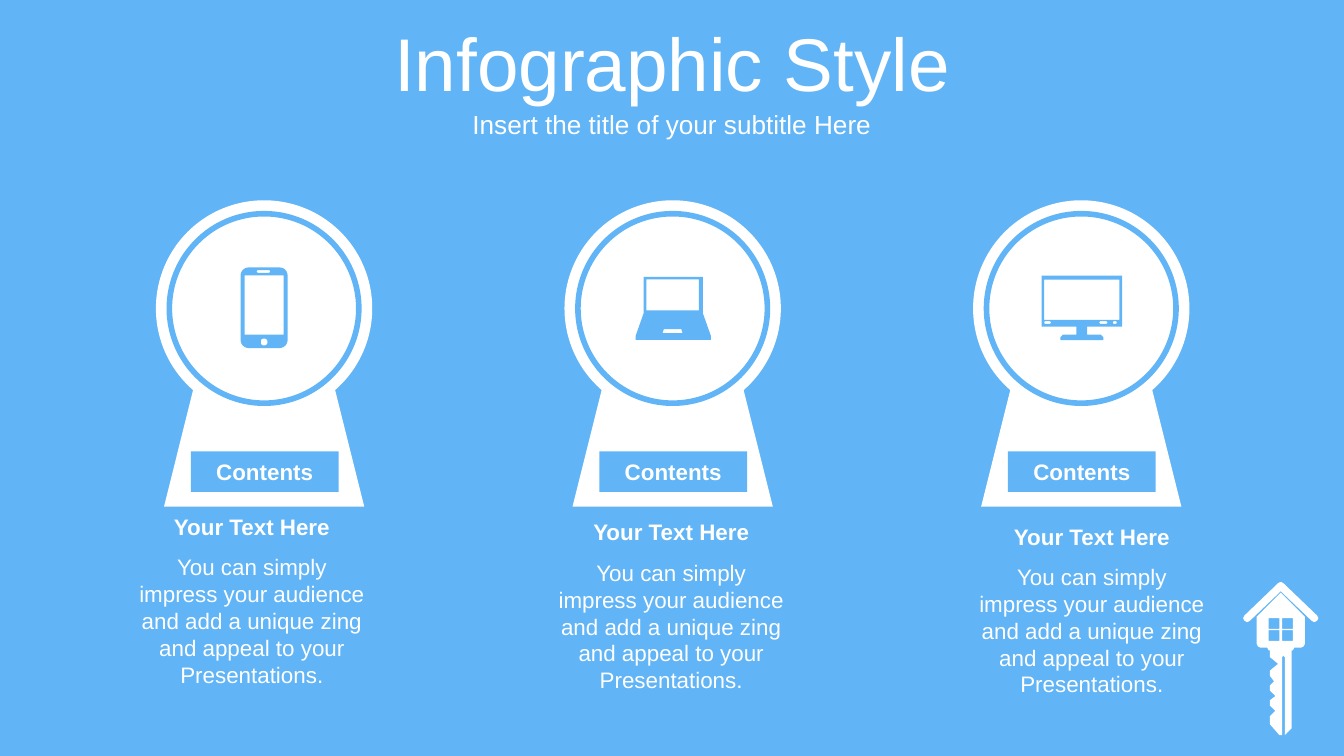
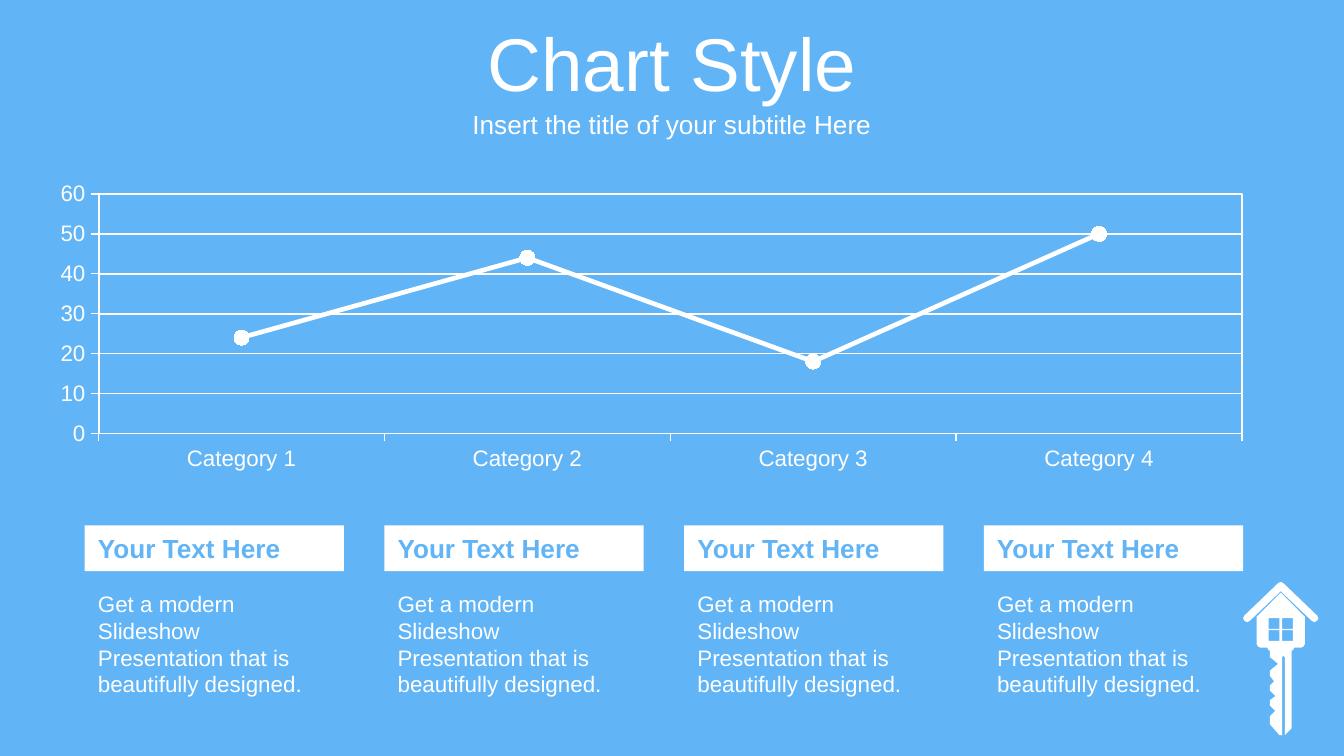
from math import cos, pi, sin

from lxml.etree import SubElement
from pptx import Presentation
from pptx.chart.data import CategoryChartData
from pptx.dml.color import RGBColor
from pptx.enum.chart import XL_CHART_TYPE, XL_MARKER_STYLE, XL_TICK_MARK
from pptx.enum.shapes import MSO_SHAPE
from pptx.enum.text import MSO_ANCHOR, PP_ALIGN
from pptx.oxml import parse_xml
from pptx.oxml.ns import nsdecls, qn
from pptx.util import Inches, Pt

# Content
BLUE, WHITE, FONT = "61B4F6", "FFFFFF", "Arial"
SUBTITLE = "Insert the title of your subtitle Here"

KEYHOLE_LABEL = "Contents"
CAPTION_TITLE = "Your Text Here"
CAPTION_TEXT = ("You can simply impress your audience and add a unique zing "
                "and appeal to your Presentations.")
CAPTION_PLACES = [(0.91, 3.77), (4.03, 3.81), (7.16, 3.84)]

CHART_VALUES = {"Category 1": 24, "Category 2": 44, "Category 3": 18, "Category 4": 50}
CARD_TITLE = "Your Text Here"
CARD_TEXT = "Get a modern Slideshow Presentation that is beautifully designed."
CARD_COUNT = 4


# Outlines: each drawing is a list of closed contours; inner contours are holes
def box(left, top, right, bottom, radius=0):
    if not radius:
        return [(left, top), (right, top), (right, bottom), (left, bottom)]
    centres = [(right - radius, bottom - radius), (left + radius, bottom - radius),
               (left + radius, top + radius), (right - radius, top + radius)]
    return [(x + radius * cos((corner + step / 6) * pi / 2),
             y + radius * sin((corner + step / 6) * pi / 2))
            for corner, (x, y) in enumerate(centres) for step in range(7)]


def mirrored(right_half, axis):
    return right_half + [(2 * axis - x, y) for x, y in reversed(right_half)]


PHONE = [
    box(1.79, 1.99, 2.14, 2.59, 0.06),
    box(1.82, 2.05, 2.11, 2.49),
    box(1.91, 2.01, 2.01, 2.03, 0.01),
    box(1.94, 2.52, 1.99, 2.57, 0.02),
]
LAPTOP = [
    mirrored([(5.23, 2.06), (5.23, 2.33), (5.29, 2.5), (5.29, 2.53)], 5.01),
    box(4.81, 2.08, 5.2, 2.31),
    [(4.94, 2.45), (4.93, 2.48), (5.08, 2.48), (5.07, 2.45)],
]
MONITOR = [
    mirrored([(8.35, 2.05), (8.35, 2.43), (8.09, 2.43), (8.09, 2.49),
              (8.19, 2.49), (8.21, 2.51), (8.21, 2.53)], 8.05),
    box(7.77, 2.08, 8.33, 2.38),
    box(7.77, 2.39, 7.82, 2.41, 0.01),
    box(8.18, 2.39, 8.24, 2.41, 0.01),
    box(8.28, 2.39, 8.31, 2.41, 0.01),
]
SHAFT = [(9.45, 4.84), (9.61, 4.84), (9.61, 5.42), (9.56, 5.47), (9.56, 4.89),
         (9.55, 4.88), (9.54, 4.89), (9.54, 5.47), (9.52, 5.47), (9.45, 5.39),
         (9.45, 5.33), (9.49, 5.29), (9.45, 5.25), (9.45, 5.21), (9.49, 5.18),
         (9.45, 5.14), (9.45, 5.1), (9.48, 5.07), (9.45, 5.03), (9.45, 4.99),
         (9.51, 4.94), (9.45, 4.89)]
HOUSE = mirrored([(9.53, 4.41), (9.71, 4.59), (9.71, 4.79), (9.7, 4.81),
                  (9.68, 4.82), (9.63, 4.82), (9.62, 4.84)], 9.53)
ROOF = mirrored([(9.53, 4.33), (9.55, 4.34), (9.8, 4.58), (9.81, 4.6), (9.8, 4.62),
                 (9.78, 4.63), (9.76, 4.62), (9.53, 4.4)], 9.53)
WINDOWS = [box(x, y, x + 0.08, y + 0.08) for x in (9.44, 9.54) for y in (4.6, 4.69)]
HOUSE_KEY = [SHAFT, HOUSE, ROOF] + WINDOWS


# Drawing helpers
def color(value):
    return RGBColor.from_string(value)


def style_font(font, size, font_color, bold=False):
    font.name, font.size, font.bold = FONT, Pt(size), bold
    font.color.rgb = color(font_color)


def style_line(line, line_color, width):
    line.color.rgb = color(line_color)
    line.width = Pt(width)


def style_shape(shape, fill, outline=None):
    shape.shadow.inherit = False
    shape.fill.solid()
    shape.fill.fore_color.rgb = color(fill)
    if outline:
        style_line(shape.line, outline, 3)
    else:
        shape.line.fill.background()


def set_text(shape, text, size, font_color=WHITE, bold=False,
             align=PP_ALIGN.CENTER, anchor=MSO_ANCHOR.TOP):
    frame = shape.text_frame
    frame.text = text
    frame.word_wrap = True
    frame.vertical_anchor = anchor
    paragraph = frame.paragraphs[0]
    paragraph.alignment = align
    style_font(paragraph.runs[0].font, size, font_color, bold)


def add_text(shapes, place, text, size, **options):
    set_text(shapes.add_textbox(*map(Inches, place)), text, size, **options)


def add_preset(shapes, preset, place, fill, outline=None):
    shape = shapes.add_shape(preset, *map(Inches, place))
    style_shape(shape, fill, outline)
    return shape


def add_outline(shapes, contours, fill):
    builder = None
    for contour in contours:
        points = [(Inches(x), Inches(y)) for x, y in contour]
        if builder is None:
            builder = shapes.build_freeform(*points[0])
        else:
            builder.move_to(*points[0])
        builder.add_line_segments(points[1:], close=True)
    style_shape(builder.convert_to_shape(), fill)


def add_slide(presentation, title):
    slide = presentation.slides.add_slide(presentation.slide_layouts[6])
    add_outline(slide.shapes, HOUSE_KEY, WHITE)
    for top, height, text, size in ((0.14, 0.63, title, 40), (0.77, 0.31, SUBTITLE, 14)):
        add_text(slide.shapes, (0, top, 10, height), text, size, anchor=MSO_ANCHOR.MIDDLE)
    return slide


# Slide 1: three keyholes with captions
def add_infographic(presentation):
    slide = add_slide(presentation, "Infographic Style")
    for index, (icon, (left, top)) in enumerate(zip((PHONE, LAPTOP, MONITOR), CAPTION_PLACES)):
        x = 1.16 + 3.04 * index
        keyhole = slide.shapes.add_group_shape().shapes
        add_preset(keyhole, MSO_SHAPE.TRAPEZOID, (x + 0.06, 2.9, 1.49, 0.87), WHITE)
        add_preset(keyhole, MSO_SHAPE.OVAL, (x, 1.49, 1.61, 1.61), WHITE)
        add_preset(keyhole, MSO_SHAPE.OVAL, (x + 0.1, 1.59, 1.41, 1.41), WHITE, BLUE)
        add_outline(slide.shapes, icon, BLUE)
        label = add_preset(slide.shapes, MSO_SHAPE.RECTANGLE, (x + 0.26, 3.36, 1.1, 0.3), BLUE)
        set_text(label, KEYHOLE_LABEL, 12, bold=True)

        caption = slide.shapes.add_group_shape().shapes
        add_text(caption, (left, top + 0.3, 1.93, 1.11), CAPTION_TEXT, 12)
        add_text(caption, (left, top, 1.93, 0.3), CAPTION_TITLE, 12, bold=True)


# Slide 2: line chart above four cards
def add_line_chart(slide):
    data = CategoryChartData()
    data.categories = list(CHART_VALUES)
    data.add_series("Series 1", list(CHART_VALUES.values()))
    place = map(Inches, (0.45, 1.32, 9.11, 2.28))
    chart = slide.shapes.add_chart(XL_CHART_TYPE.LINE_MARKERS, *place, data).chart
    chart.has_legend = chart.has_title = False
    chart.font.name, chart.font.size = FONT, Pt(18)

    for axis in (chart.category_axis, chart.value_axis):
        axis.major_tick_mark = XL_TICK_MARK.OUTSIDE
        axis.minor_tick_mark = XL_TICK_MARK.NONE
        style_font(axis.tick_labels.font, 12, WHITE)
        style_line(axis.format.line, WHITE, 0.75)
    axis = chart.value_axis
    axis.minimum_scale, axis.maximum_scale, axis.major_unit = 0, 60, 10
    axis.has_major_gridlines = True
    style_line(axis.major_gridlines.format.line, WHITE, 1)

    plot = chart.plots[0]
    plot.vary_by_categories = False
    series = plot.series[0]
    series.smooth = False
    style_line(series.format.line, WHITE, 2.5)
    marker = series.marker
    marker.style, marker.size = XL_MARKER_STYLE.CIRCLE, 8
    marker.format.fill.solid()
    marker.format.fill.fore_color.rgb = color(WHITE)
    style_line(marker.format.line, WHITE, 0.75)

    # Fixed inner plot area with a white frame
    plot_area = chart.element.find(".//" + qn("c:plotArea"))
    for layout in plot_area.findall(qn("c:layout")):
        plot_area.remove(layout)
    layout = parse_xml(f"<c:layout {nsdecls('c')}/>")
    manual = SubElement(layout, qn("c:manualLayout"))
    for name, value in (("layoutTarget", "inner"), ("xMode", "edge"), ("yMode", "edge"),
                        ("x", "0.029"), ("y", "0.054"), ("w", "0.936"), ("h", "0.782")):
        SubElement(manual, qn("c:" + name)).set("val", value)
    plot_area.insert(0, layout)
    plot_area.append(parse_xml(
        f"<c:spPr {nsdecls('c', 'a')}><a:noFill/><a:ln w='{Pt(1)}'><a:solidFill>"
        f"<a:srgbClr val='{WHITE}'/></a:solidFill></a:ln></c:spPr>"))


def add_chart_slide(presentation):
    slide = add_slide(presentation, "Chart Style")
    add_line_chart(slide)
    for index in range(CARD_COUNT):
        left = 0.63 + 2.23 * index
        card = slide.shapes.add_group_shape().shapes
        heading = add_preset(card, MSO_SHAPE.RECTANGLE, (left, 3.91, 1.93, 0.34), WHITE)
        set_text(heading, CARD_TITLE, 14, BLUE, bold=True, align=PP_ALIGN.LEFT)
        add_text(card, (left, 4.34, 1.91, 0.91), CARD_TEXT, 12, align=PP_ALIGN.LEFT)


def main():
    presentation = Presentation()
    presentation.slide_width = Inches(10)
    presentation.slide_height = Inches(10 * 9 / 16)
    background = presentation.slide_master.background.fill
    background.solid()
    background.fore_color.rgb = color(BLUE)
    add_infographic(presentation)
    add_chart_slide(presentation)
    presentation.save("out.pptx")


if __name__ == "__main__":
    main()
